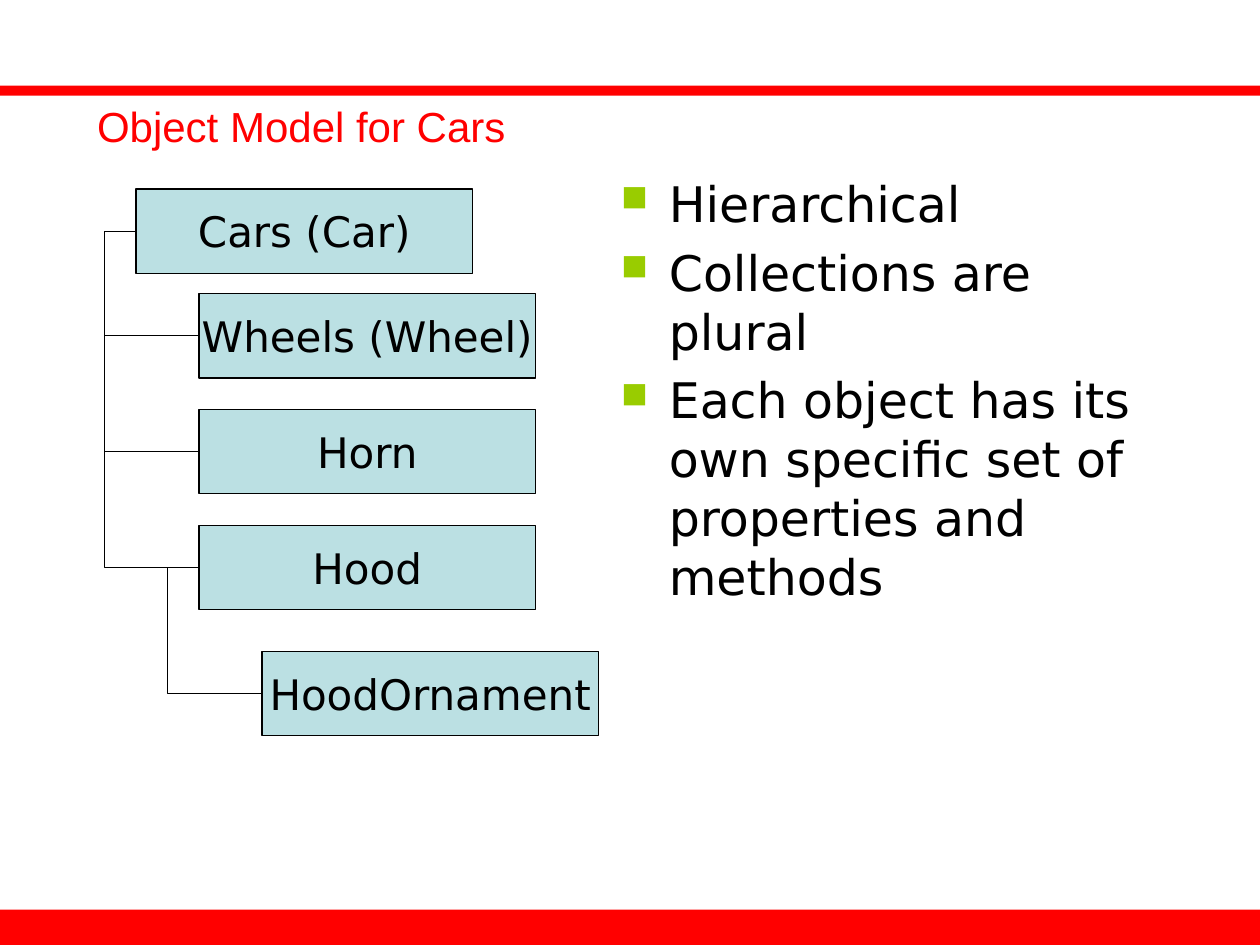
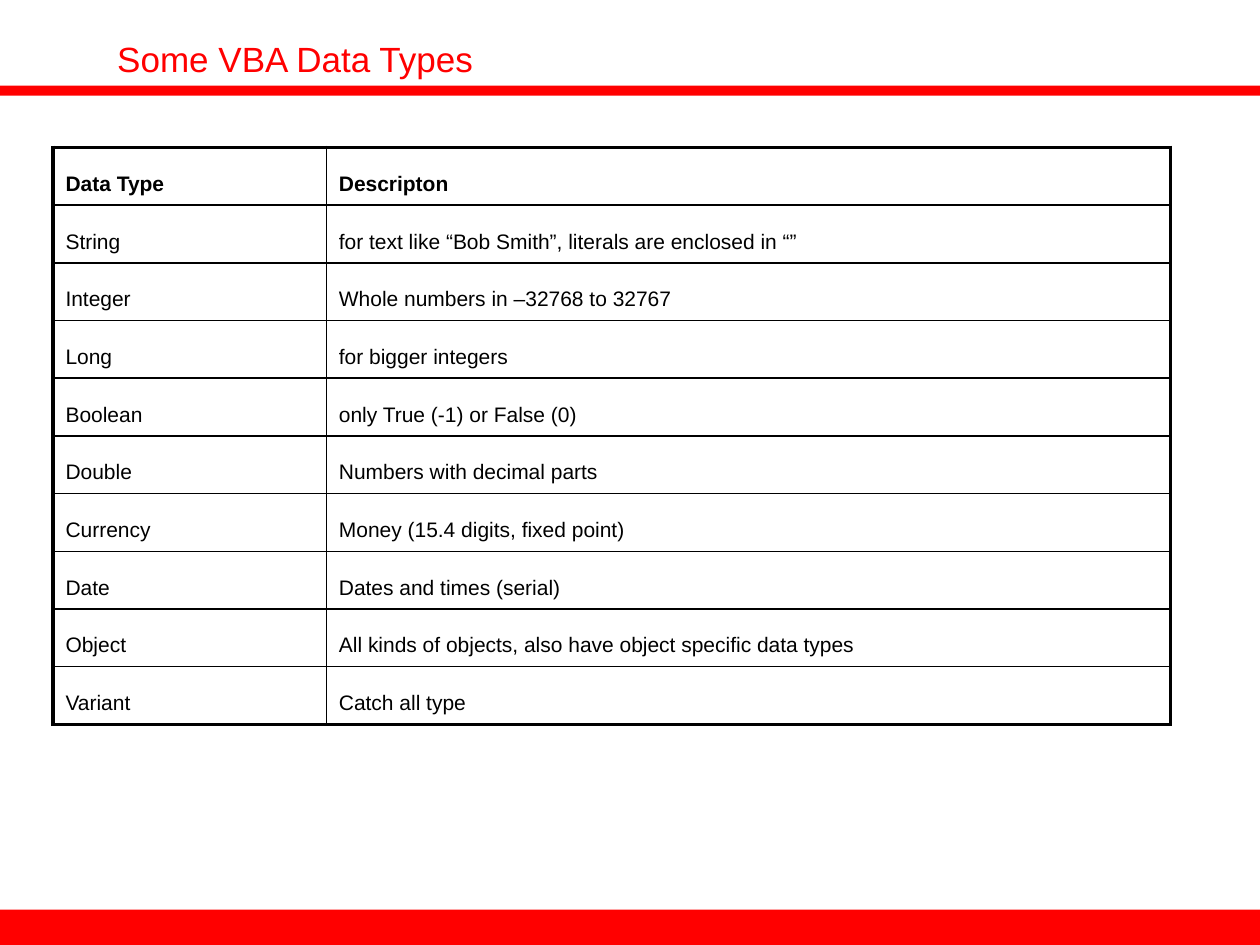
from lxml.etree import SubElement
from pptx import Presentation
from pptx.dml.color import RGBColor
from pptx.enum.shapes import MSO_CONNECTOR, MSO_SHAPE
from pptx.enum.text import MSO_ANCHOR, MSO_AUTO_SIZE, PP_ALIGN
from pptx.oxml.ns import qn
from pptx.util import Inches, Pt

RED = RGBColor(0xFF, 0x00, 0x00)
BLACK = RGBColor(0x00, 0x00, 0x00)
AQUA = RGBColor(0xBB, 0xE0, 0xE3)
LIME = RGBColor(0x99, 0xCC, 0x00)

HEAD_FONT = "Arial"
BODY_FONT = "DejaVu Sans"
WIDTH, HEIGHT = 10, 7.5
BANDS = [(7.22, 0.28), (0.68, 0.08)]  # top, height

# name, indent level, top within the tree, index of the parent
NODES = [
    ("Cars (Car)", 0, 0, None),
    ("Wheels (Wheel)", 1, 0.83, 0),
    ("Horn", 1, 1.75, 0),
    ("Hood", 1, 2.67, 0),
    ("HoodOrnament", 2, 3.67, 3),
]
POINTS = [
    "Hierarchical",
    "Collections are plural",
    "Each object has its own specific set of properties and methods",
]
TYPES = [
    ("Data Type", "Descripton"),
    ("String", "for text like “Bob Smith”, literals are enclosed in “”"),
    ("Integer", "Whole numbers in –32768 to 32767"),
    ("Long", "for bigger integers"),
    ("Boolean", "only True (-1) or False (0)"),
    ("Double", "Numbers with decimal parts"),
    ("Currency", "Money (15.4 digits, fixed point)"),
    ("Date", "Dates and times (serial)"),
    ("Object", "All kinds of objects, also have object specific data types"),
    ("Variant", "Catch all type"),
]


def style(para, size, font, color=BLACK, bold=False):
    for run in para.runs:
        run.font.size = Pt(size)
        run.font.name = font
        run.font.color.rgb = color
        run.font.bold = bold


def add_rect(slide, left, top, width, height, fill):
    rect = slide.shapes.add_shape(
        MSO_SHAPE.RECTANGLE,
        Inches(left), Inches(top), Inches(width), Inches(height))
    rect.shadow.inherit = False
    rect.fill.solid()
    rect.fill.fore_color.rgb = fill
    rect.line.fill.background()
    return rect


def add_slide(deck, text, box, size):
    """Add a slide with the red bands and its title in the given box."""
    slide = deck.slides.add_slide(deck.slide_layouts[5])
    for top, height in BANDS:
        add_rect(slide, 0, top, WIDTH, height, RED)
    title = slide.shapes.title
    title.left, title.top, title.width, title.height = map(Inches, box)
    frame = title.text_frame
    frame.text = text
    frame.word_wrap = True
    frame.vertical_anchor = MSO_ANCHOR.BOTTOM
    frame.auto_size = MSO_AUTO_SIZE.SHAPE_TO_FIT_TEXT
    para = frame.paragraphs[0]
    para.alignment = PP_ALIGN.LEFT
    style(para, size, HEAD_FONT, RED)
    return slide


def add_node(slide, text, left, top):
    node = add_rect(slide, left, top, 2.67, 0.67, AQUA)
    node.line.color.rgb = BLACK
    node.line.width = Pt(0.75)
    frame = node.text_frame
    frame.text = text
    frame.word_wrap = False
    frame.vertical_anchor = MSO_ANCHOR.MIDDLE
    para = frame.paragraphs[0]
    para.alignment = PP_ALIGN.CENTER
    style(para, 24, BODY_FONT)
    return node


def add_link(slide, parent, child):
    """Join the left sides of two nodes by an elbow that loops to the left."""
    link = slide.shapes.add_connector(MSO_CONNECTOR.ELBOW, 0, 0, 0, 0)
    link.begin_connect(parent, 1)
    link.end_connect(child, 1)
    link.line.color.rgb = BLACK
    link.line.width = Pt(0.75)
    props = link._element.spPr
    SubElement(props, qn("a:effectLst"))
    frame = props.find(qn("a:xfrm"))
    for name, value in (("rot", "10800000"), ("flipH", "1"), ("flipV", "1")):
        frame.set(name, value)
    geom = props.find(qn("a:prstGeom"))
    guides = geom.find(qn("a:avLst"))
    if guides is None:
        guides = SubElement(geom, qn("a:avLst"))
    SubElement(guides, qn("a:gd"), name="adj1", fmla="val -50000")


def add_tree(slide, left, top):
    nodes = [add_node(slide, text, left + 0.5 * level, top + drop)
             for text, level, drop, _ in NODES]
    for node, (*_, parent) in zip(nodes, NODES):
        if parent is not None:
            add_link(slide, nodes[parent], node)


def add_points(slide, left, top, width, height):
    box = slide.shapes.add_textbox(
        Inches(left), Inches(top), Inches(width), Inches(height))
    frame = box.text_frame
    frame.word_wrap = True
    frame.text = "\n".join(POINTS)
    for para in frame.paragraphs:
        style(para, 28, BODY_FONT)
        para.space_before = Pt(5.6)
        props = para._p.get_or_add_pPr()
        props.set("marL", str(Inches(0.38)))
        props.set("indent", str(Inches(-0.38)))
        color = SubElement(props, qn("a:buClr"))
        SubElement(color, qn("a:srgbClr"), val=str(LIME))
        SubElement(props, qn("a:buSzPct"), val="75000")
        SubElement(props, qn("a:buChar"), char="■")


def set_edges(cell, widths):
    """Draw the cell's left, right, top and bottom borders."""
    props = cell._tc.get_or_add_tcPr()
    for spot, (side, width) in enumerate(zip("LRTB", widths)):
        line = SubElement(props, qn("a:ln" + side), w=str(Pt(width)))
        fill = SubElement(line, qn("a:solidFill"))
        SubElement(fill, qn("a:srgbClr"), val=str(BLACK))
        props.insert(spot, line)


def add_types(slide, left, top, widths, height):
    rows, cols = len(TYPES), len(widths)
    table = slide.shapes.add_table(
        rows, cols, Inches(left), Inches(top),
        Inches(sum(widths)), Inches(height)).table
    table.first_row = table.horz_banding = False
    for col, width in zip(table.columns, widths):
        col.width = Inches(width)
    for i, texts in enumerate(TYPES):
        for j, text in enumerate(texts):
            cell = table.cell(i, j)
            cell.text = text
            cell.fill.background()
            para = cell.text_frame.paragraphs[0]
            para.line_spacing = Pt(24)
            para.space_after = Pt(10)
            style(para, 12, HEAD_FONT, bold=i == 0)
            outer = (j == 0, j == cols - 1, i == 0, i == rows - 1)
            set_edges(cell, [2.25 if edge else 1 for edge in outer])


def main():
    deck = Presentation()
    deck.slide_width, deck.slide_height = Inches(WIDTH), Inches(HEIGHT)

    cars = add_slide(deck, "Object Model for Cars", (0.67, 0.75, 8.93, 0.5), 24)
    add_tree(cars, 1.08, 1.5)
    add_points(cars, 4.83, 1.33, 4.35, 4.58)

    types = add_slide(deck, "Some VBA Data Types", (0.83, 0.25, 8.93, 0.43), 20)
    add_types(types, 0.42, 1.17, (2.17, 6.7), 4.58)

    deck.save("out.pptx")


if __name__ == "__main__":
    main()
